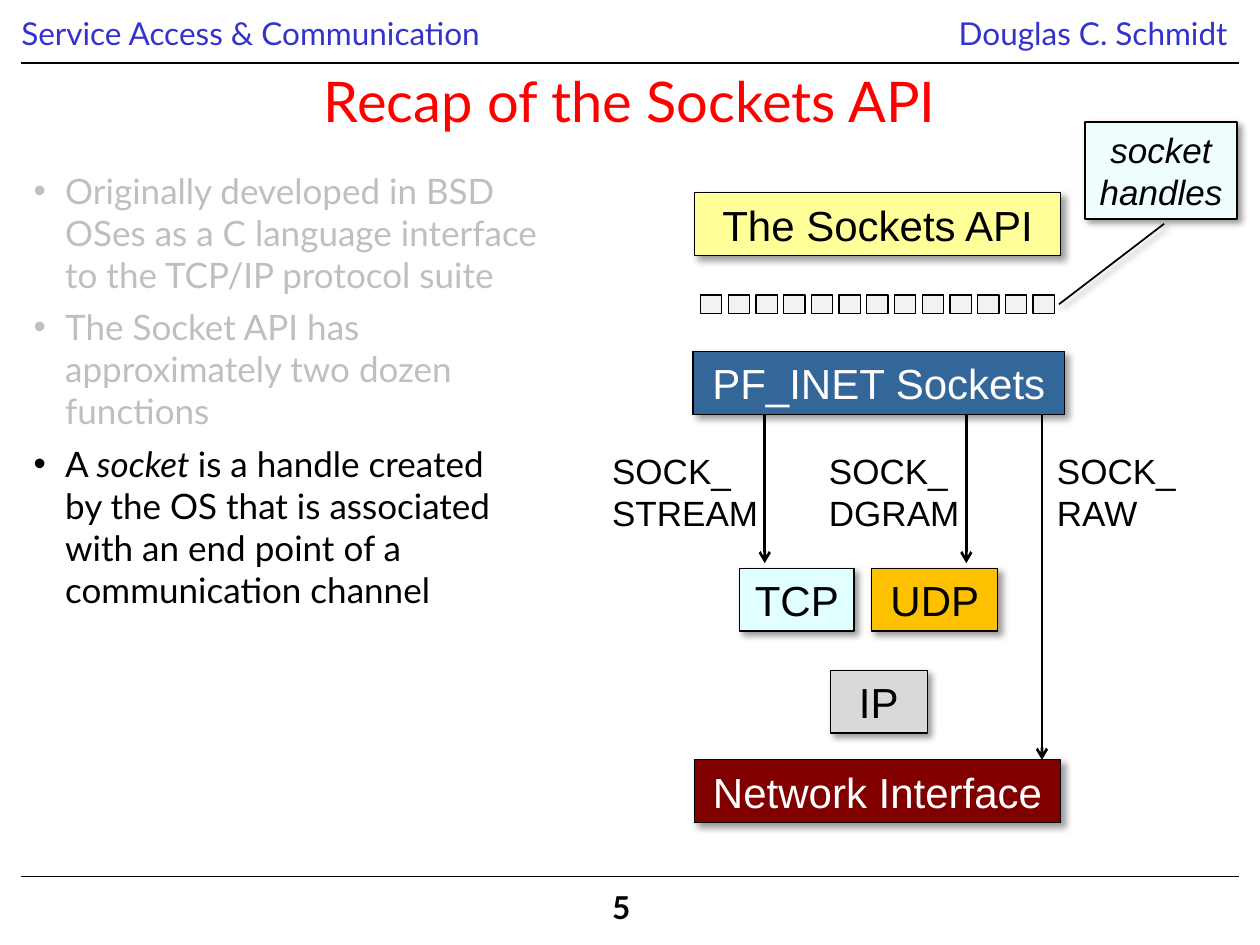
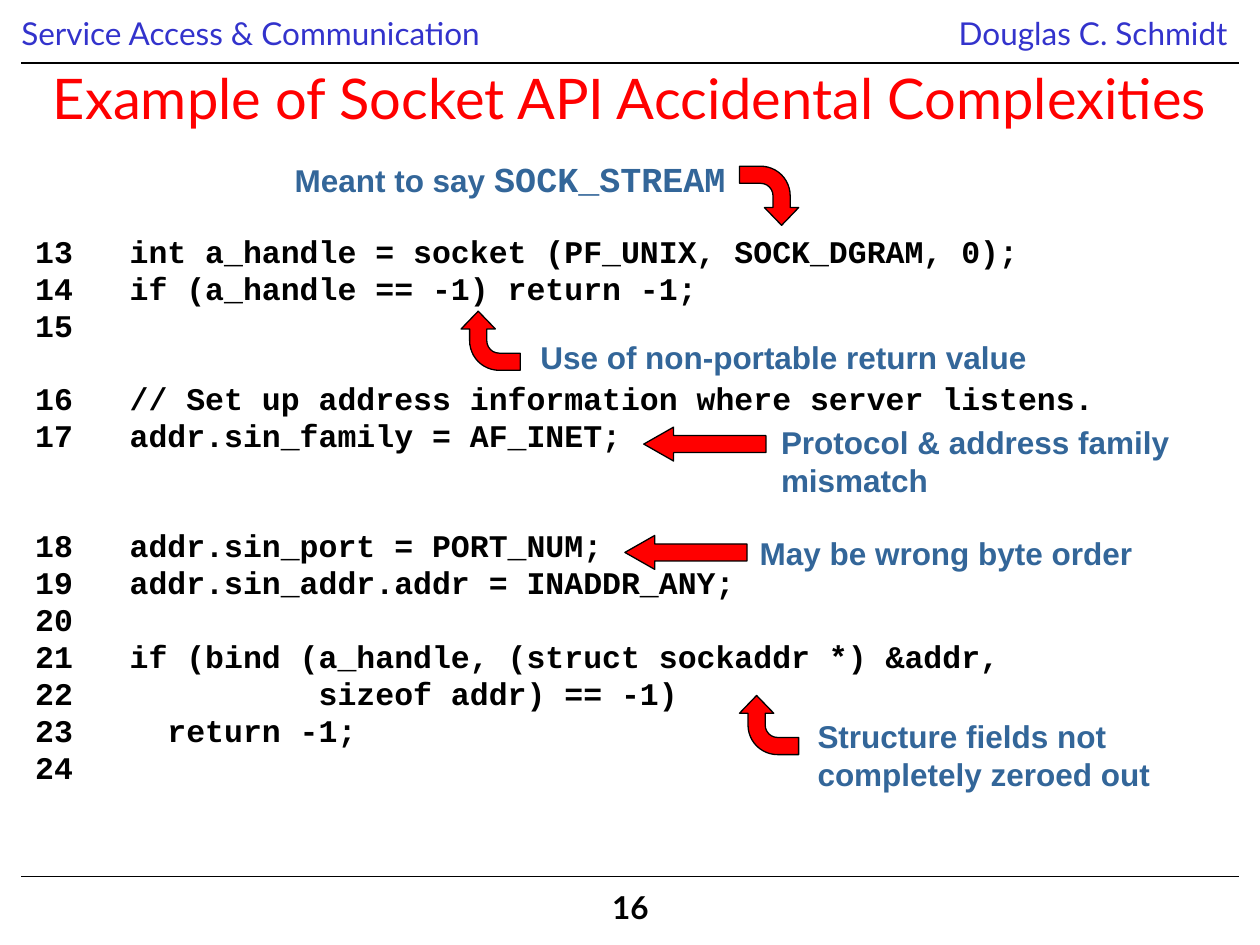
from lxml import etree
from pptx import Presentation
from pptx import util as u
from pptx.dml.color import RGBColor
from pptx.enum import shapes, text
from pptx.oxml.ns import qn

Pt = u.Pt
KIND = shapes.MSO_SHAPE
ALIGN = text.PP_ALIGN

BLACK = RGBColor(0x00, 0x00, 0x00)
WHITE = RGBColor(0xFF, 0xFF, 0xFF)
RED = RGBColor(0xFF, 0x00, 0x00)
HEADER_BLUE = RGBColor(0x33, 0x33, 0xCC)
STEEL = RGBColor(0x33, 0x66, 0x99)
FADED = RGBColor(0xBF, 0xBF, 0xBF)
YELLOW = RGBColor(0xFF, 0xFF, 0x99)
CYAN = RGBColor(0xE1, 0xFF, 0xFF)
PALE_CYAN = RGBColor(0xEF, 0xFD, 0xFF)
AMBER = RGBColor(0xFF, 0xC0, 0x00)
GREY = RGBColor(0xD9, 0xD9, 0xD9)
LIGHT = RGBColor(0xF2, 0xF2, 0xF2)
MAROON = RGBColor(0x80, 0x00, 0x00)

# Text styles
HEADER = dict(name="Lato", size=Pt(18), color=HEADER_BLUE)
PAGE = dict(HEADER, color=BLACK, bold=True)
TITLE = dict(name="Lato", size=Pt(32), color=RED)
BULLET = dict(name="Lato", size=Pt(20), color=BLACK)
FADED_BULLET = dict(BULLET, color=FADED)
BOX = dict(name="Arial", size=Pt(24), color=BLACK)
BOX_WHITE = dict(BOX, color=WHITE)
LABEL = dict(BOX, size=Pt(20))
HANDLES = dict(LABEL, italic=True)
CODE = dict(name="Courier New", size=Pt(18), color=BLACK, bold=True)
NOTE = dict(name="Arial", size=Pt(18), color=STEEL, bold=True)
NOTE_CODE = dict(NOTE, name="Courier New", size=Pt(20))

# Shared header
COURSE, AUTHOR = "Service Access & Communication", "Douglas C. Schmidt"
RULES_Y = (36, 501)

# Slide: recap. A paragraph is a list of (text, style) runs.
BULLETS = [
    [("Originally developed in BSD OSes as a C language interface to the "
      "TCP/IP protocol suite", FADED_BULLET)],
    [("The Socket API has approximately two dozen functions", FADED_BULLET)],
    [("A ", BULLET), ("socket ", dict(BULLET, italic=True)),
     ("is a handle created\nby the OS that is associated with an end point "
      "of a communication channel", BULLET)],
]
LAYER_HEIGHT = 36
LAYERS = [  # text, left, top, width, fill, style
    ("The Sockets API", 396.7, 110.2, 209.5, YELLOW, BOX),
    ("TCP", 422.6, 324.7, 65.5, CYAN, BOX),
    ("UDP", 498.2, 324.7, 72, AMBER, BOX),
    ("IP", 474.5, 383, 55.4, GREY, BOX),
    ("Network Interface", 396.7, 434.2, 209.5, MAROON, BOX_WHITE),
]
PF_INET = ("PF_INET Sockets", 396, 200.9, 212.4, STEEL, BOX_WHITE)
SOCKET_TYPES = [  # label, label left, arrow x, arrow end y
    ("SOCK_\nSTREAM", 342.7, 437, 321.8),
    ("SOCK_\nDGRAM", 466.6, 552.2, 321.8),
    ("SOCK_\nRAW", 596.9, 595.4, 434.2),
]
HANDLE_COUNT, HANDLE_LEFT, HANDLE_STEP = 13, 400.3, 15.84

# Slide: accidental complexities. Each block is set apart by empty lines.
CODE_BLOCKS = [  # empty lines above, code lines
    (0, ["13   int a_handle = socket (PF_UNIX, SOCK_DGRAM, 0);",
         "14   if (a_handle == -1) return -1;",
         "15"]),
    (1, ["16   // Set up address information where server listens.",
         "17   addr.sin_family = AF_INET;"]),
    (2, ["18   addr.sin_port = PORT_NUM;",
         "19   addr.sin_addr.addr = INADDR_ANY;",
         "20",
         "21   if (bind (a_handle, (struct sockaddr *) &addr,",
         "22             sizeof addr) == -1)",
         "23     return -1;",
         "24"]),
]
CODE_GAP, CODE_PITCH = 3.8, 20.9
NOTES = [  # runs, left, top, width, height
    ([("Meant to say ", NOTE), ("SOCK_STREAM", NOTE_CODE)], 161.3, 86.4, 334, 32),
    ([("Use of non-portable return value", NOTE)], 301.7, 189.4, 297.4, 29),
    ([("Protocol & address family mismatch", NOTE)], 439.2, 238.3, 270, 51),
    ([("May be wrong byte order", NOTE)], 427, 301.7, 280, 29),
    ([("Structure fields not completely zeroed out", NOTE)], 460.1, 406.1, 239.8, 51),
]
BENT_ARROWS = [(263.5, 177.8, 270), (422.6, 397.4, 270), (422.6, 95, 90)]
LEFT_ARROWS = [(367.9, 244.1), (357.1, 306)]


def write(frame, paragraphs, align=ALIGN.LEFT, spacing=None, gap=0):
    """Fill a text frame with paragraphs made of (text, style) runs."""
    for index, runs in enumerate(paragraphs):
        paragraph = frame.add_paragraph() if index else frame.paragraphs[0]
        paragraph.alignment = align
        if spacing:
            paragraph.line_spacing = spacing
        if index:
            paragraph.space_before = Pt(gap)
        for words, style in runs:
            for number, line in enumerate(words.split("\n")):
                if number:
                    paragraph.add_line_break()
                run = paragraph.add_run()
                run.text = line
                for key, value in style.items():
                    if key == "color":
                        run.font.color.rgb = value
                    else:
                        setattr(run.font, key, value)


def add_text(slide, paragraphs, left, top, width, height, wrap=True,
             anchor=text.MSO_ANCHOR.TOP, margins=None, **layout):
    frame = slide.shapes.add_textbox(Pt(left), Pt(top), Pt(width), Pt(height)).text_frame
    frame.word_wrap = wrap
    frame.vertical_anchor = anchor
    for side, value in (margins or {}).items():
        setattr(frame, "margin_" + side, Pt(value))
    write(frame, paragraphs, **layout)
    return frame


def add_block(slide, kind, left, top, width, height, fill, line=0.75,
              adjustments=()):
    shape = slide.shapes.add_shape(kind, Pt(left), Pt(top), Pt(width), Pt(height))
    shape.shadow.inherit = False
    shape.fill.solid()
    shape.fill.fore_color.rgb = fill
    shape.line.color.rgb = BLACK
    shape.line.width = Pt(line)
    for index, value in enumerate(adjustments):
        shape.adjustments[index] = value
    return shape


def add_shadow(shape):
    effects = shape._element.spPr.find(qn("a:effectLst"))
    shadow = etree.SubElement(effects, qn("a:outerShdw"), blurRad=str(Pt(4)),
                              dist=str(Pt(3)), dir="2700000", algn="tl")
    color = etree.SubElement(shadow, qn("a:srgbClr"), val=str(BLACK))
    etree.SubElement(color, qn("a:alpha"), val="40000")


def add_layer(slide, words, left, top, width, fill, style):
    shape = add_block(slide, KIND.RECTANGLE, left, top, width, LAYER_HEIGHT, fill)
    add_shadow(shape)
    shape.text_frame.vertical_anchor = text.MSO_ANCHOR.MIDDLE
    write(shape.text_frame, [[(words, style)]], ALIGN.CENTER)


def add_line(slide, x1, y1, x2, y2, width=0.75, arrow=False):
    line = slide.shapes.add_connector(shapes.MSO_CONNECTOR.STRAIGHT,
                                      Pt(x1), Pt(y1), Pt(x2), Pt(y2))
    line.line.color.rgb = BLACK
    line.line.width = Pt(width)
    if arrow:
        etree.SubElement(line.line._get_or_add_ln(), qn("a:tailEnd"), type="arrow")
    etree.SubElement(line._element.spPr, qn("a:effectLst"))


def add_bullet(paragraph, color):
    properties = paragraph._p.get_or_add_pPr()
    properties.set("marL", str(Pt(18)))
    properties.set("indent", str(-Pt(18)))
    bullet_color = etree.SubElement(properties, qn("a:buClr"))
    etree.SubElement(bullet_color, qn("a:srgbClr"), val=str(color))
    etree.SubElement(properties, qn("a:buFont"), typeface="Arial")
    etree.SubElement(properties, qn("a:buChar"), char="•")


def start_slide(presentation, title, number, title_middle):
    """Add a slide with the shared header, title, rules and page number."""
    slide = presentation.slides.add_slide(presentation.slide_layouts[6])
    for y in RULES_Y:
        add_line(slide, 12.2, y, 707.8, y)
    add_text(slide, [[(AUTHOR, HEADER)]], 527.8, 7, 180.7, 26.6,
             align=ALIGN.RIGHT, spacing=0.9)
    add_text(slide, [[(COURSE, HEADER)]], 12.2, 4.3, 500, 28.8,
             margins=dict(left=0, right=0))
    add_text(slide, [[(str(number), PAGE)]], 342.7, 506.2, 36.7, 28.8,
             margins=dict(right=0), spacing=0.9)
    add_text(slide, [[(title, TITLE)]], 0, title_middle - 25, 720, 50,
             anchor=text.MSO_ANCHOR.MIDDLE, align=ALIGN.CENTER)
    return slide


def build_recap(presentation):
    slide = start_slide(presentation, "Recap of the Sockets API", 5, 57)
    frame = add_text(slide, BULLETS, 12.2, 93.2, 309.6, 262, gap=6)
    for paragraph, runs in zip(frame.paragraphs, BULLETS):
        add_bullet(paragraph, runs[0][1]["color"])

    # Protocol stack
    for layer in LAYERS:
        add_layer(slide, *layer)
    for label, left, x, end in SOCKET_TYPES:
        add_text(slide, [[(label, LABEL)]], left, 253.4, 113, 55.4)
        add_line(slide, x, 233.3, x, end, 1.5, arrow=True)
    add_layer(slide, *PF_INET)

    # Socket handles and their callout
    for index in range(HANDLE_COUNT):
        add_block(slide, KIND.RECTANGLE, HANDLE_LEFT + index * HANDLE_STEP,
                  168.5, 12.2, 10.8, LIGHT)
    callout = add_block(slide, KIND.LINE_CALLOUT_1, 619.9, 69.8, 87.1, 55.4,
                        PALE_CYAN, 1, (1.05, 0.52, 1.88, -0.17))
    add_shadow(callout)
    callout.text_frame.vertical_anchor = text.MSO_ANCHOR.MIDDLE
    write(callout.text_frame, [[("socket handles", HANDLES)]], ALIGN.CENTER)


def build_complexities(presentation):
    slide = start_slide(presentation, "Example of Socket API Accidental Complexities",
                        16, 55.4)

    # Code listing
    lines = [[(line, CODE)] for _, block in CODE_BLOCKS for line in block]
    frame = add_text(slide, lines, 13, 133.2, 630.7, 393, wrap=False,
                     spacing=0.8, gap=CODE_GAP)
    first = 0
    for empty, block in CODE_BLOCKS:
        if empty:
            frame.paragraphs[first].space_before = Pt(CODE_GAP + empty * CODE_PITCH)
        first += len(block)

    # Remarks and their arrows
    for runs, *place in NOTES:
        add_text(slide, [runs], *place)
    for left, top, turn in BENT_ARROWS:
        arrow = add_block(slide, KIND.BENT_ARROW, left, top, 33.8, 33.8, RED,
                          adjustments=(0.29, 0.29, 0.3, 0.5))
        arrow.rotation = turn
    for left, top in LEFT_ARROWS:
        add_block(slide, KIND.LEFT_ARROW, left, top, 69.8, 19.4, RED,
                  adjustments=(0.5, 0.88))


def main():
    presentation = Presentation()
    presentation.slide_width, presentation.slide_height = Pt(720), Pt(540)
    build_recap(presentation)
    build_complexities(presentation)
    presentation.save("out.pptx")


if __name__ == "__main__":
    main()
